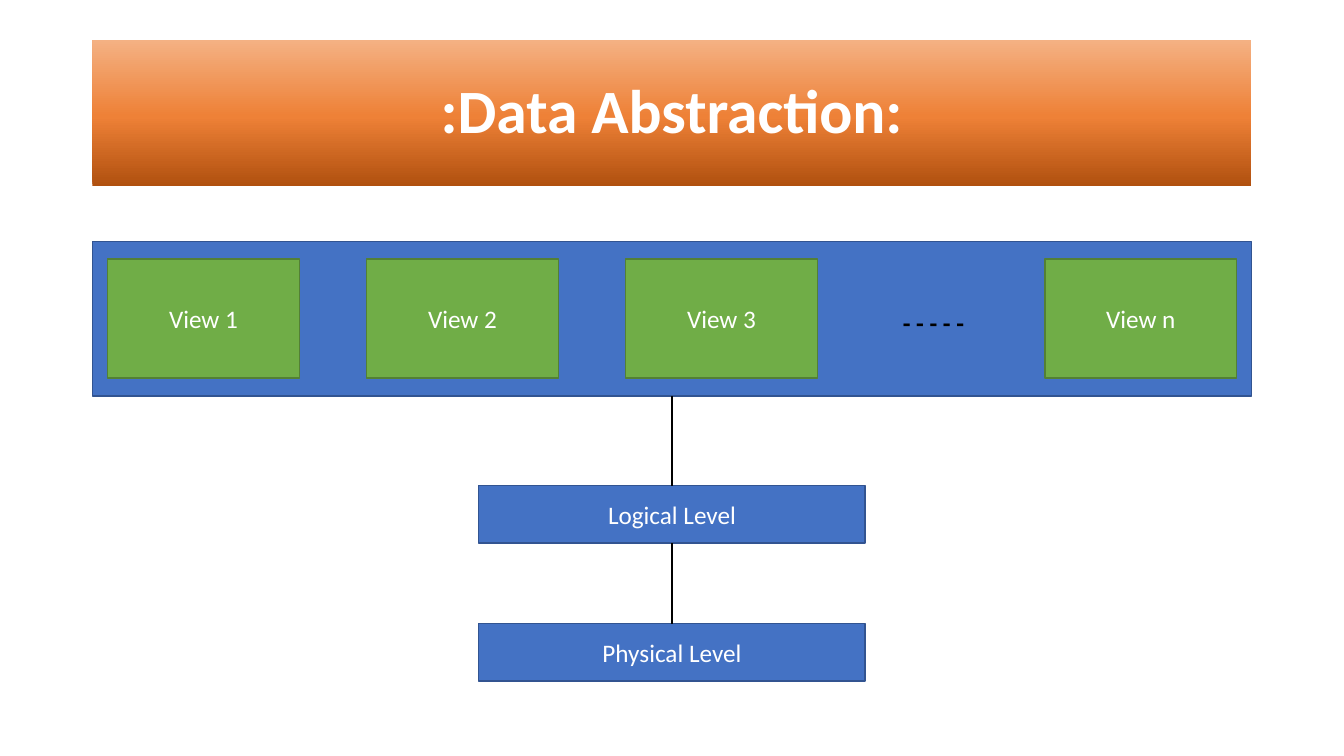
from copy import deepcopy
from dataclasses import dataclass

from pptx import Presentation
from pptx.dml.color import RGBColor
from pptx.enum import shapes, text
from pptx.oxml import ns, xmlchemy
from pptx.util import Pt


@dataclass(frozen=True)
class Theme:
    face: str = "Calibri"
    white: str = "FFFFFF"
    black: str = "000000"
    blue: tuple = ("4472C4", "325491")
    green: tuple = ("70AD47", "538035")
    blend: tuple = ((0, "B0500F"), (0.48, "EE8137"), (1, "F4B183"))
    head: int = 44
    body: int = 18


THEME = Theme()
WIDE, HIGH = 960, 540
MID = WIDE / 2


def rgb(code):
    return RGBColor.from_string(code)


def write(shape, words, size=THEME.body, color=THEME.white, bold=False,
          align=text.PP_ALIGN.CENTER, space=None):
    frame = shape.text_frame
    frame.vertical_anchor = text.MSO_ANCHOR.MIDDLE
    para = frame.paragraphs[0]
    para.alignment, para.line_spacing = align, space
    run = para.add_run()
    run.text = words
    look = {"name": THEME.face, "size": Pt(size), "bold": bold}
    for key, value in look.items():
        setattr(run.font, key, value)
    run.font.color.rgb = rgb(color)


def box(slide, place, paint=None, words=None):
    shape = slide.shapes.add_shape(
        shapes.MSO_SHAPE.RECTANGLE, *map(Pt, place))
    shape.shadow.inherit = False
    if paint:
        fill, edge = paint
        shape.fill.solid()
        shape.fill.fore_color.rgb = rgb(fill)
        shape.line.color.rgb = rgb(edge)
        shape.line.width = Pt(1)
    if words:
        write(shape, words)
    return shape


def blend(shape, stops):
    """Fill the shape with a gradient that runs from bottom to top."""
    shape.line.fill.background()
    shape.fill.gradient()
    shape.fill.gradient_angle = 90
    group = shape.element.xpath(".//a:gsLst")[0]
    while len(group) < len(stops):
        group.append(deepcopy(group[0]))
    for stop, (spot, color) in zip(shape.fill.gradient_stops, stops):
        stop.position = spot
        stop.color.rgb = rgb(color)


def link(slide, top, low):
    """Join the bottom of one box to the top of the next."""
    line = slide.shapes.add_connector(
        shapes.MSO_CONNECTOR.STRAIGHT, 0, 0, 0, 0)
    line.begin_connect(top, 2)
    line.end_connect(low, 0)
    line.line.color.rgb = rgb(THEME.black)
    line.line.width = Pt(1.5)
    props = line.element.spPr
    props.append(xmlchemy.OxmlElement("a:effectLst"))


def dots(slide, place, words):
    note = slide.shapes.add_textbox(*map(Pt, place))
    note.text_frame.margin_left = Pt(11.3)
    note.text_frame.word_wrap = False
    write(note, words, color=THEME.black, bold=True,
          align=text.PP_ALIGN.LEFT)


def main():
    deck = Presentation()
    deck.slide_width, deck.slide_height = Pt(WIDE), Pt(HIGH)
    slide = deck.slides.add_slide(deck.slide_layouts[6])

    span = 828
    left = MID - span / 2
    title = box(slide, (left, 28.75, span, 104.4))
    blend(title, THEME.blend)
    write(title, ":Data Abstraction:", THEME.head, bold=True, space=0.9)

    level = box(slide, (left, 172.5, span, 110.5), THEME.blue)
    names = {"Logical Level": 347, "Physical Level": 445.5}
    width = 276
    for name, top in names.items():
        lower = box(slide, (MID - width / 2, top, width, 41),
                    THEME.blue, name)
        link(slide, level, lower)
        level = lower

    first, step, last = 77, 185, 746.5
    spots = [first + step * i for i in range(3)] + [last]
    for mark, spot in zip("123n", spots):
        box(slide, (spot, 185, 136.8, 85), THEME.green, f"View {mark}")
    dots(slide, (633.6, 216, 66.5, 29), "- - - - -")

    deck.save("out.pptx")


if __name__ == "__main__":
    main()
